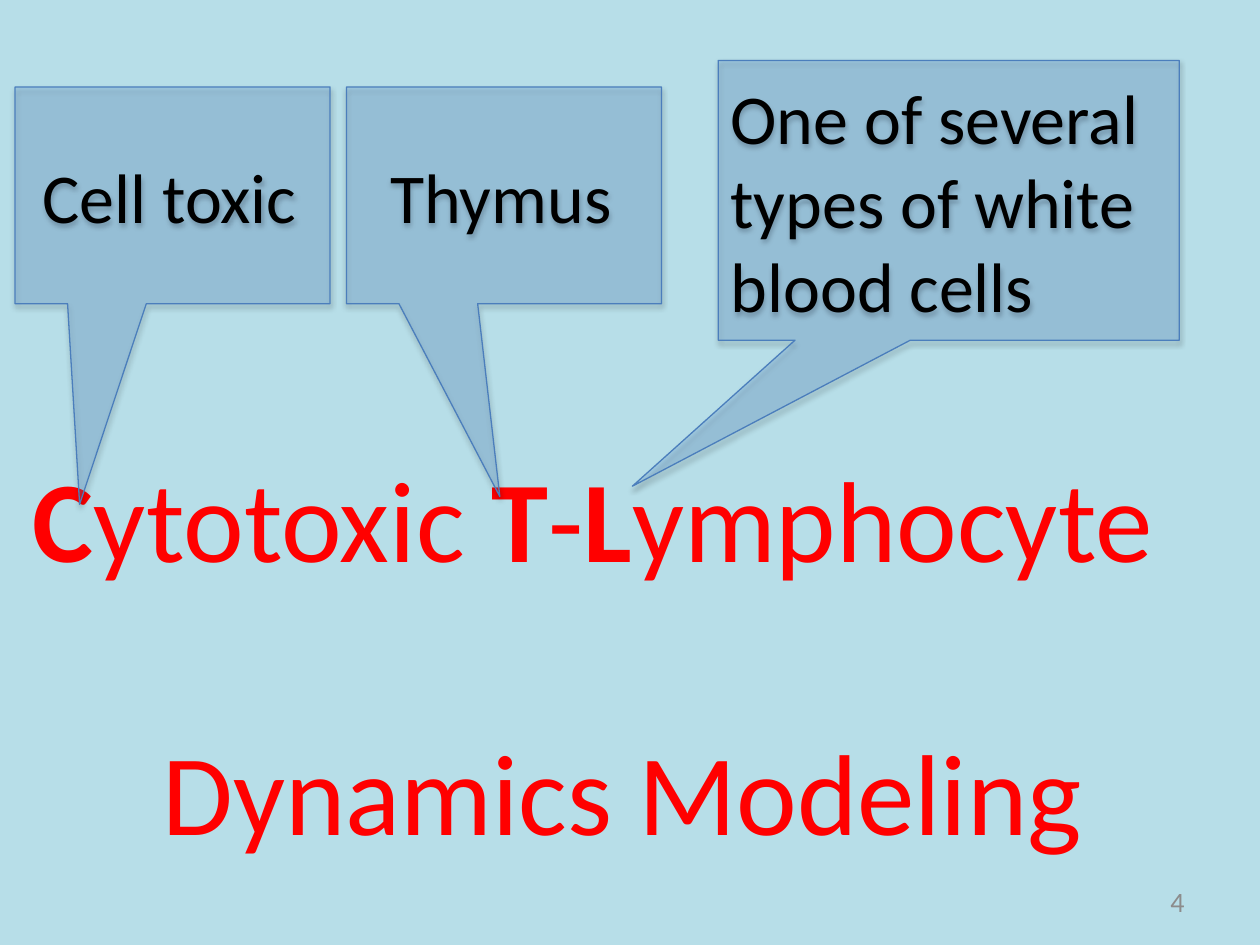
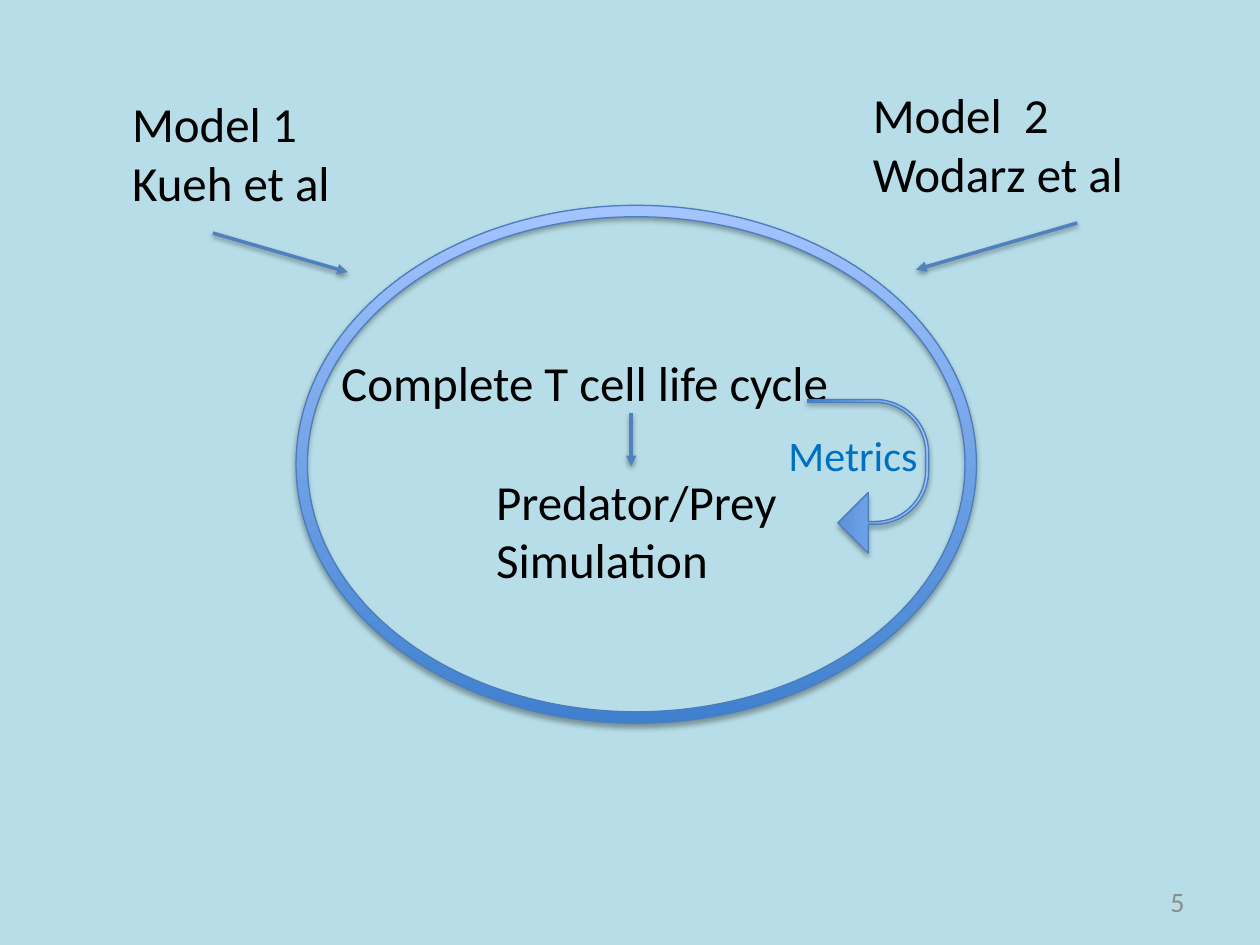
"""Build two slides on cytotoxic T-lymphocyte dynamics modeling."""
from dataclasses import dataclass

from lxml import etree
from pptx import Presentation
from pptx.dml.color import RGBColor
from pptx.enum.shapes import MSO_CONNECTOR, MSO_SHAPE
from pptx.enum.text import MSO_ANCHOR, PP_ALIGN
from pptx.oxml.ns import qn
from pptx.util import Inches, Pt

CALLOUT, DONUT, UTURN = (
    MSO_SHAPE.RECTANGULAR_CALLOUT, MSO_SHAPE.DONUT, MSO_SHAPE.U_TURN_ARROW)
STRAIGHT = MSO_CONNECTOR.STRAIGHT
TOP, MIDDLE = MSO_ANCHOR.TOP, MSO_ANCHOR.MIDDLE
LEFT, RIGHT = PP_ALIGN.LEFT, PP_ALIGN.RIGHT


@dataclass(frozen=True)
class Theme:
    """Colours, type sizes and line widths shared by the slides."""
    font: str = "Calibri"
    background: str = "B7DEE8"
    title: str = "FF0000"
    text: str = "000000"
    accent: str = "0070C0"
    muted: str = "8C8C8C"
    callout: str = "558ED5"
    outline: str = "4B7EBC"
    arrow: str = "4F81BD"
    gradient: tuple = ("3F80CE", "A4C4FF")
    title_size: float = 65.7
    callout_size: int = 40
    body_size: int = 28
    label_size: int = 24
    number_size: int = 16
    outline_width: float = 0.75
    arrow_width: float = 2


THEME = Theme()


def rgb(colour):
    """Turn a hex string into a colour."""
    return RGBColor.from_string(colour)


def add_xml(parent, tag, **attributes):
    """Append a drawing element with the given attributes."""
    return etree.SubElement(parent, qn(f"a:{tag}"),
                            {key: str(value) for key, value in attributes.items()})


def add_shadow(shape, opacity, distance):
    """Give a shape a soft black shadow straight below it."""
    effects = add_xml(shape.element.spPr, "effectLst")
    shadow = add_xml(effects, "outerShdw", blurRad=Pt(3.1), dist=Pt(distance),
                     dir=90 * 60000, rotWithShape=0)
    black = add_xml(shadow, "srgbClr", val=THEME.text)
    add_xml(black, "alpha", val=opacity * 1000)


def write_paragraph(paragraph, runs, size, colour, align=LEFT, indent=0, before=0):
    """Write (text, bold) runs into a paragraph."""
    paragraph.alignment = align
    paragraph.space_before = Pt(before)
    if indent:
        paragraph._p.get_or_add_pPr().set("marL", str(Inches(indent)))
    for text, bold in runs:
        run = paragraph.add_run()
        run.text = text
        run.font.name = THEME.font
        run.font.size = Pt(size)
        run.font.bold = bold
        run.font.color.rgb = rgb(colour)


def write_lines(frame, lines, size, colour, anchor=TOP, align=LEFT):
    """Fill a text frame with (runs, indent, space before) lines."""
    frame.word_wrap = True
    frame.vertical_anchor = anchor
    for index, (runs, indent, before) in enumerate(lines):
        paragraph = frame.add_paragraph() if index else frame.paragraphs[0]
        write_paragraph(paragraph, runs, size, colour, align, indent, before)


def plain(text, indent=0, before=0):
    """Make one line of regular text."""
    return [(text, False)], indent, before


def add_text(slide, box, lines, size=THEME.body_size, colour=THEME.text, **layout):
    """Add a text box and return its text frame."""
    frame = slide.shapes.add_textbox(*map(Inches, box)).text_frame
    write_lines(frame, lines, size, colour, **layout)
    return frame


def add_outlined_shape(slide, kind, box, adjustments):
    """Add a preset shape with the shared outline."""
    shape = slide.shapes.add_shape(kind, *map(Inches, box))
    for index, value in enumerate(adjustments):
        shape.adjustments[index] = value
    shape.line.color.rgb = rgb(THEME.outline)
    shape.line.width = Pt(THEME.outline_width)
    return shape


def add_callout(slide, box, pointer, text, indent=0):
    """Add a translucent callout explaining a part of the title."""
    callout = add_outlined_shape(slide, CALLOUT, box, pointer)
    callout.fill.solid()
    callout.fill.fore_color.rgb = rgb(THEME.callout)
    fill_colour = callout.element.spPr.find(qn("a:solidFill"))[0]
    add_xml(fill_colour, "alpha", val=22000)
    add_shadow(callout, 35, 1.8)
    write_lines(callout.text_frame, [plain(text, indent)],
                THEME.callout_size, THEME.text, MIDDLE)


def add_gradient_shape(slide, kind, box, adjustments, rotation=0):
    """Add a shape shaded from dark at the bottom to light at the top."""
    shape = add_outlined_shape(slide, kind, box, adjustments)
    shape.rotation = rotation
    shape.fill.gradient()
    shape.fill.gradient_angle = 90
    for position, (stop, colour) in enumerate(
            zip(shape.fill.gradient_stops, THEME.gradient)):
        stop.position = position
        stop.color.rgb = rgb(colour)
    add_shadow(shape, 35, 1.8)


def add_arrow(slide, start, end):
    """Add a straight arrow between two points."""
    arrow = slide.shapes.add_connector(STRAIGHT, *map(Inches, start + end))
    arrow.line.color.rgb = rgb(THEME.arrow)
    arrow.line.width = Pt(THEME.arrow_width)
    add_xml(arrow.line._get_or_add_ln(), "tailEnd", type="triangle")
    add_shadow(arrow, 38, 1.6)


def add_slide(deck):
    """Add a blank slide with the shared background."""
    slide = deck.slides.add_slide(deck.slide_layouts[6])
    slide.background.fill.solid()
    slide.background.fill.fore_color.rgb = rgb(THEME.background)
    return slide


def add_slide_number(slide, number):
    """Add the slide number at the bottom right."""
    add_text(slide, (7.17, 6.95, 2.33, 0.4), [plain(str(number))],
             THEME.number_size, THEME.muted, anchor=MIDDLE, align=RIGHT)


def build_title_slide(deck):
    """Build the title with a callout for each part of the name."""
    slide = add_slide(deck)
    name = [("C", True), ("ytotoxic ", False), ("T", True), ("-", False),
            ("L", True), ("ymphocyte", False)]
    title = add_text(slide, (0, 3.55, 10, 3.3),
                     [(name, 0.26, 0), plain("Dynamics Modeling", 1.29, 77.5)],
                     THEME.title_size, THEME.title)
    title.margin_left = title.margin_right = title.margin_top = title.margin_bottom = 0
    add_slide_number(slide, 4)
    add_callout(slide, (0.12, 0.69, 2.5, 1.72), (-0.295, 1.426), "Cell toxic", 0.12)
    add_callout(slide, (2.75, 0.69, 2.5, 1.72), (-0.013, 1.39), "Thymus", 0.25)
    add_callout(slide, (5.7, 0.48, 3.66, 2.22), (-0.686, 1.022),
                "One of several types of white blood cells")


def build_model_slide(deck):
    """Build the diagram of two models feeding one life cycle."""
    slide = add_slide(deck)
    add_text(slide, (0.95, 0.69, 2.31, 1.45), [plain("Model 1"), plain("Kueh et al")])
    add_text(slide, (5.95, 0.62, 3.2, 1.92),
             [plain("Model  2", 0.88), plain("Wodarz et al", 0.88)])
    add_arrow(slide, (8.55, 1.77), (7.27, 2.14))
    add_arrow(slide, (1.69, 1.85), (2.76, 2.16))
    add_text(slide, (2.26, 2.75, 4.59, 1.99),
             [plain("Complete T cell life cycle", 0.35),
              plain("Predator/Prey", 1.58, 34),
              plain("Simulation", 1.58)])
    add_slide_number(slide, 5)
    add_gradient_shape(slide, DONUT, (2.35, 1.63, 5.4, 4.11), (0.022,))
    add_gradient_shape(slide, UTURN, (6.28, 3.3, 1.22, 0.96),
                       (0.025, 0.25, 0.25, 0.443, 0.75), rotation=90)
    add_text(slide, (6.16, 3.36, 1.3, 0.5), [plain("Metrics")],
             THEME.label_size, THEME.accent)
    add_arrow(slide, (5.01, 3.28), (5.01, 3.7))


def main():
    """Build and save the deck."""
    deck = Presentation()
    deck.slide_width, deck.slide_height = Inches(10), Inches(7.5)
    build_title_slide(deck)
    build_model_slide(deck)
    deck.save("out.pptx")


if __name__ == "__main__":
    main()
